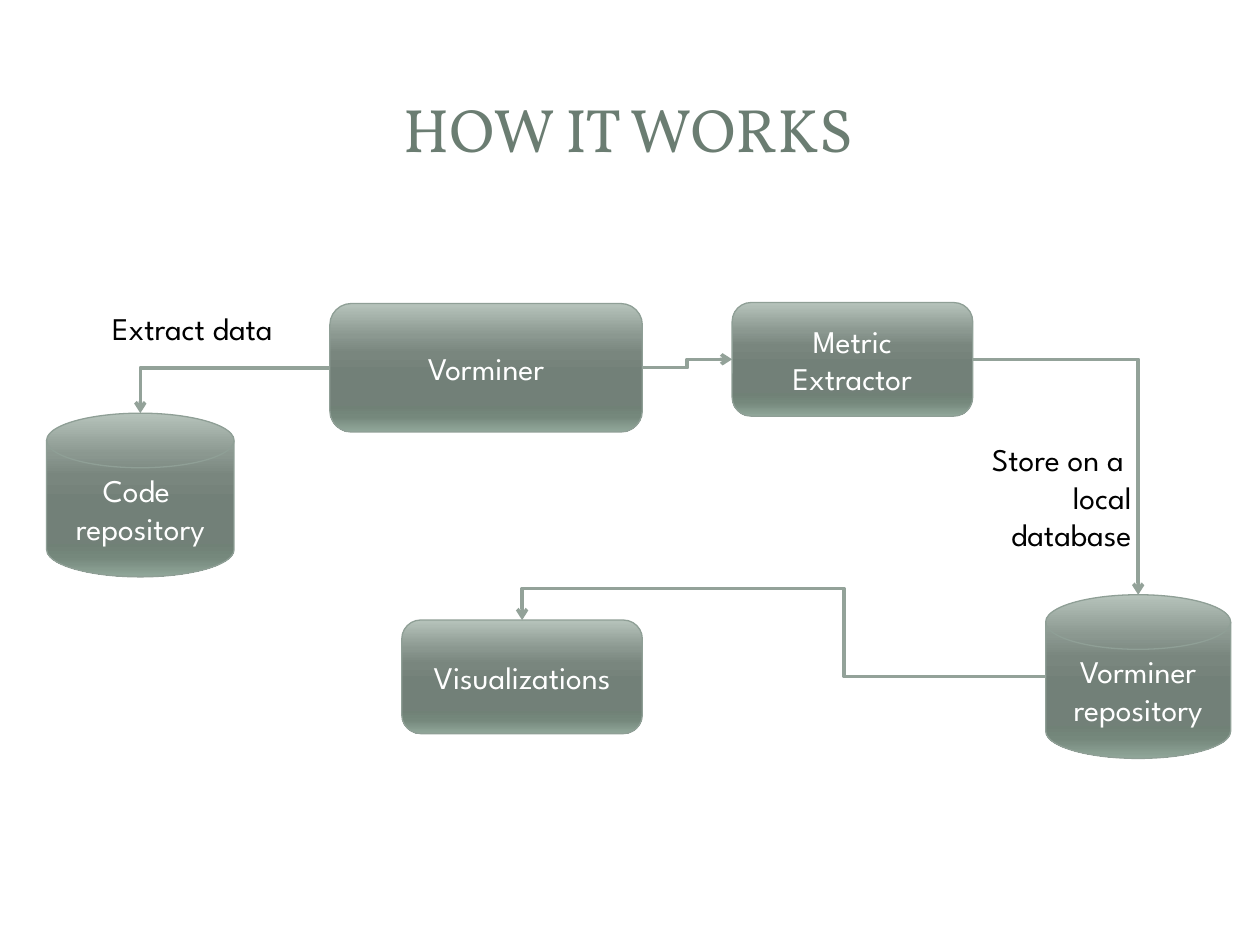
from dataclasses import dataclass

from lxml import etree
from pptx import Presentation
from pptx import util as u
from pptx.dml.color import RGBColor
from pptx.enum import shapes, text
from pptx.oxml.ns import qn

BODY_FONT, TITLE_FONT = "League Spartan", "Vollkorn"
GRADIENT = {0: "B6C3BB", 25: "8B9890", 38: "79867E", 55: "728078",
            80: "708176", 88: "75887C", 100: "91A79A"}
BLOCK = shapes.MSO_SHAPE.ROUNDED_RECTANGLE
STORE = shapes.MSO_SHAPE.FLOWCHART_MAGNETIC_DISK
CENTER, LEFT, RIGHT = text.PP_ALIGN.CENTER, text.PP_ALIGN.LEFT, text.PP_ALIGN.RIGHT


@dataclass
class Node:
    """A component of the flow; lengths in centimetres, \\v breaks a line."""
    words: str
    kind: shapes.MSO_SHAPE
    left: float
    top: float
    width: float
    height: float

    def side(self, name: str) -> tuple[float, float]:
        across, down = {"top": (0.5, 0), "left": (0, 0.5), "right": (1, 0.5)}[name]
        return self.left + across * self.width, self.top + down * self.height


@dataclass
class Link:
    start: tuple[float, float]
    end: tuple[float, float]
    preset: str
    rotation: int = 0
    flips: str = ""
    adjustments: tuple[int, ...] = ()
    arrow: str = "tailEnd"


@dataclass
class Label:
    words: str
    left: float
    top: float
    width: float
    height: float
    align: text.PP_ALIGN


def rgb(color: str) -> RGBColor:
    return RGBColor.from_string(color)


def format_text(frame, font: str, size: float, color: str, align) -> None:
    for para in frame.paragraphs:
        para.alignment = align
        for span in para.runs:
            span.font.name, span.font.size = font, u.Pt(size)
            span.font.color.rgb = rgb(color)


def fill_gradient(box) -> None:
    box.fill.gradient()
    box.fill.gradient_angle = 270
    stops = box._element.spPr.find(qn("a:gradFill")).find(qn("a:gsLst"))
    for stop in list(stops):
        stops.remove(stop)
    for percent, color in GRADIENT.items():
        stop = etree.SubElement(stops, qn("a:gs"), pos=str(percent * 1000))
        etree.SubElement(stop, qn("a:srgbClr"), val=color)


def draw_title(slide, words: str) -> None:
    title = slide.shapes.title
    title.left, title.top = u.Cm(1.19), u.Cm(1.14)
    title.width, title.height = u.Cm(22.94), u.Cm(2.9)
    title.text_frame.text = words
    title.text_frame.vertical_anchor = text.MSO_ANCHOR.MIDDLE
    format_text(title.text_frame, TITLE_FONT, 35, "6B7D72", CENTER)


def draw_node(slide, node: Node) -> None:
    box = slide.shapes.add_shape(node.kind, u.Cm(node.left), u.Cm(node.top),
                                 u.Cm(node.width), u.Cm(node.height))
    box.shadow.inherit = False
    fill_gradient(box)
    box.line.color.rgb, box.line.width = rgb("8F9F96"), u.Pt(0.75)
    frame = box.text_frame
    frame.text = node.words
    frame.word_wrap = True
    frame.vertical_anchor = text.MSO_ANCHOR.MIDDLE
    format_text(frame, BODY_FONT, 18, "FFFFFF", CENTER)


def draw_label(slide, label: Label) -> None:
    box = slide.shapes.add_textbox(u.Cm(label.left), u.Cm(label.top),
                                   u.Cm(label.width), u.Cm(label.height))
    frame = box.text_frame
    frame.text = label.words
    frame.word_wrap = True
    frame.auto_size = text.MSO_AUTO_SIZE.SHAPE_TO_FIT_TEXT
    format_text(frame, BODY_FONT, 18, "000000", label.align)


def draw_link(slide, link: Link) -> None:
    """Draw an elbow; a quarter turn swaps its frame's sides about the centre."""
    (x1, y1), (x2, y2) = link.start, link.end
    width, height = abs(x2 - x1), abs(y2 - y1)
    if link.rotation % 180:
        width, height = height, width
    left, top = (x1 + x2 - width) / 2, (y1 + y2 - height) / 2
    line = slide.shapes.add_connector(
        shapes.MSO_CONNECTOR.ELBOW, u.Cm(left), u.Cm(top),
        u.Cm(left + width), u.Cm(top + height))
    line.line.color.rgb, line.line.width = rgb("93A299"), u.Pt(2)

    properties = line._element.spPr
    frame = properties.find(qn("a:xfrm"))
    if link.rotation:
        frame.set("rot", str(link.rotation * 60000))
    for flip in link.flips:
        frame.set(f"flip{flip}", "1")
    geometry = properties.find(qn("a:prstGeom"))
    geometry.set("prst", link.preset)
    guides = geometry.find(qn("a:avLst"))
    for number, value in enumerate(link.adjustments, 1):
        etree.SubElement(guides, qn("a:gd"), name=f"adj{number}", fmla=f"val {value}")
    etree.SubElement(properties.find(qn("a:ln")), qn(f"a:{link.arrow}"), type="arrow")
    etree.SubElement(properties, qn("a:effectLst"))


def main() -> None:
    deck = Presentation()
    deck.slide_width, deck.slide_height = u.Cm(25.4), u.Cm(19.05)
    slide = deck.slides.add_slide(deck.slide_layouts[5])

    source = Node("Code \vrepository", STORE, 0.94, 8.33, 3.78, 3.3)
    miner = Node("Vorminer", BLOCK, 6.65, 6.12, 6.3, 2.59)
    repository = Node("Vorminer\vrepository", STORE, 21.08, 11.99, 3.73, 3.3)
    extractor = Node("Metric Extractor", BLOCK, 14.76, 6.1, 4.85, 2.29)
    charts = Node("Visualizations", BLOCK, 8.1, 12.5, 4.85, 2.29)
    links = [
        Link(source.side("top"), miner.side("left"), "bentConnector2",
             rotation=90, flips="HV", arrow="headEnd"),
        Link(extractor.side("right"), repository.side("top"), "bentConnector2"),
        Link(miner.side("right"), extractor.side("left"), "bentConnector3",
             flips="V", adjustments=(50000,)),
        Link(repository.side("left"), charts.side("top"), "bentConnector4",
             rotation=180, adjustments=(38500, 155800)),
    ]
    labels = [
        Label("Extract data", 2.01, 6.1, 4.65, 1.02, LEFT),
        Label("Store on a \nlocal database", 18.82, 8.74, 4.24, 1.8, RIGHT),
    ]

    draw_title(slide, "HOW IT WORKS")
    for node in (source, miner, repository, extractor, charts):
        draw_node(slide, node)
    for link in links:
        draw_link(slide, link)
    for label in labels:
        draw_label(slide, label)
    deck.save("out.pptx")


if __name__ == "__main__":
    main()
